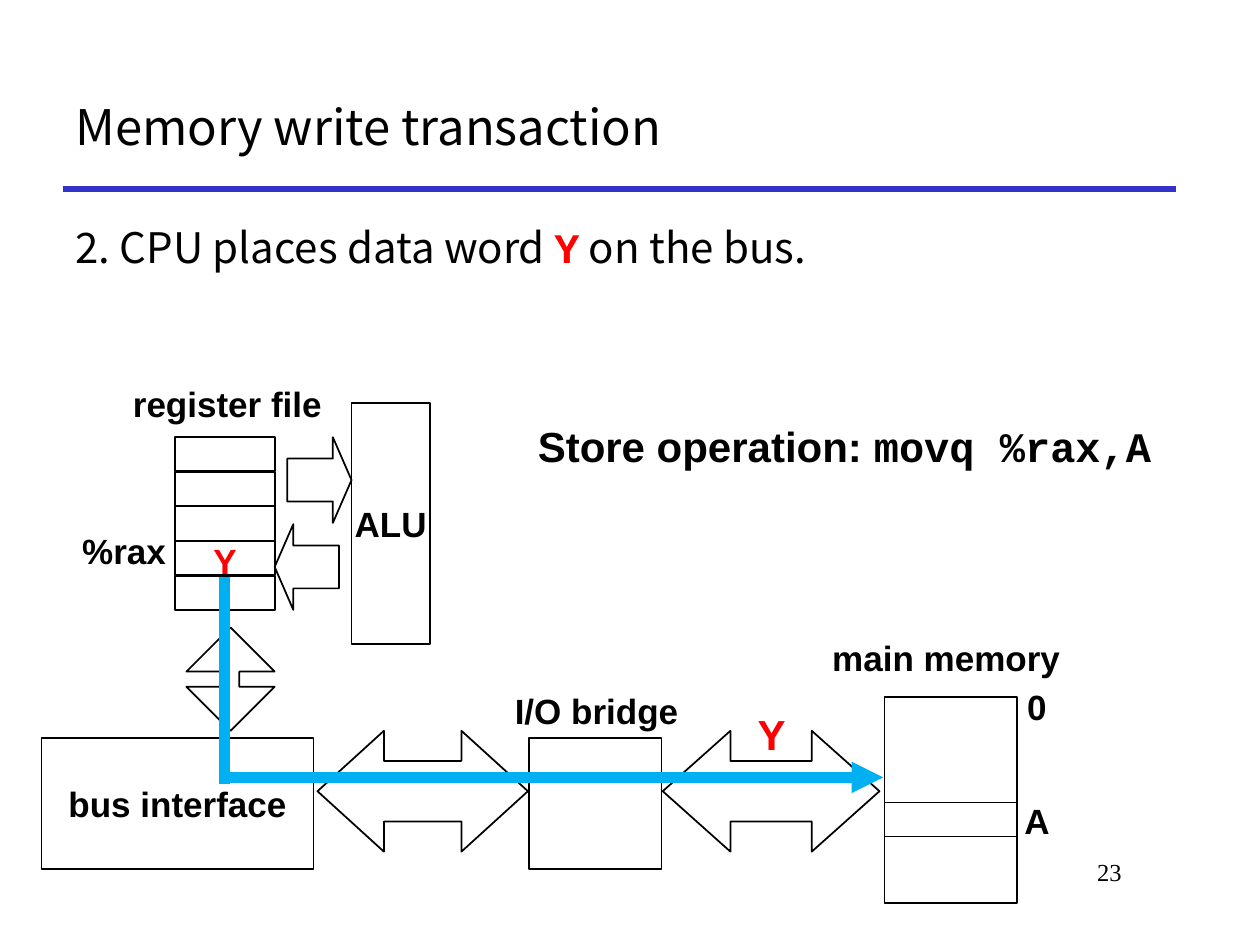
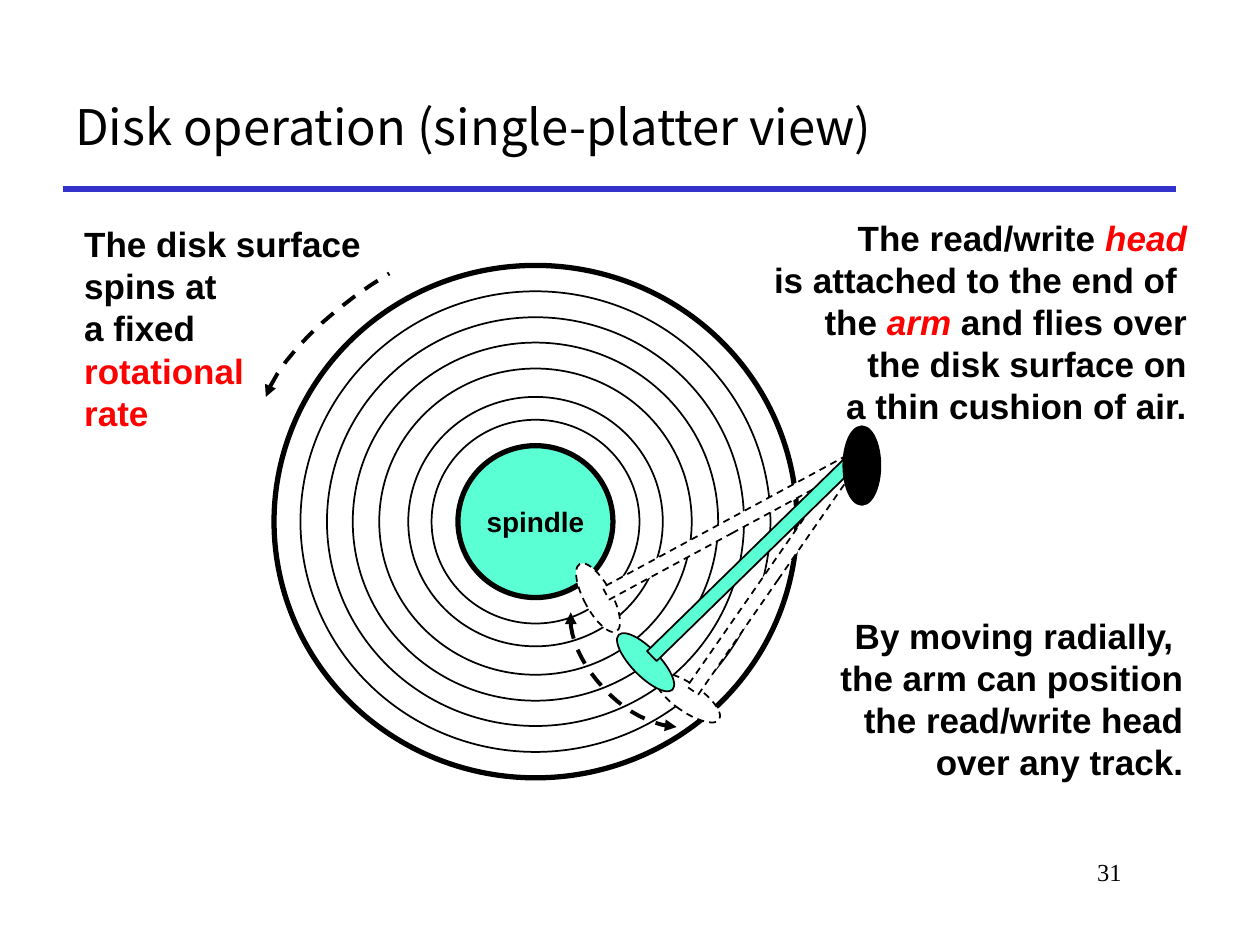
from math import cos, radians, sin

from lxml import etree
from pptx import Presentation
from pptx.dml.color import RGBColor
from pptx.enum.dml import MSO_LINE
from pptx.enum.shapes import MSO_CONNECTOR, MSO_SHAPE
from pptx.enum.text import MSO_ANCHOR, PP_ALIGN
from pptx.oxml.ns import qn
from pptx.util import Inches, Pt

RECTANGLE, ELLIPSE = MSO_SHAPE.RECTANGLE, MSO_SHAPE.OVAL
LEFT, CENTER, RIGHT = PP_ALIGN.LEFT, PP_ALIGN.CENTER, PP_ALIGN.RIGHT
TOP, MIDDLE = MSO_ANCHOR.TOP, MSO_ANCHOR.MIDDLE
DASH = MSO_LINE.DASH

BLACK, WHITE, RED = "000000", "FFFFFF", "FF0000"
RULE_BLUE, SIGNAL_BLUE, MINT = "3333CC", "00B0F0", "5BFFD4"
SANS, MONO, SERIF = "Arial", "Courier New", "Times New Roman"
HEADING = "Noto Sans CJK KR"


def rgb(value):
    return RGBColor.from_string(value)


def write(frame, paragraphs, align=LEFT, anchor=TOP, wrap=True, spacing=None, **style):
    """Fill a frame; a paragraph is a string or a list of strings and (text, style) pairs."""
    frame.word_wrap = wrap
    frame.vertical_anchor = anchor
    for index, runs in enumerate(paragraphs):
        paragraph = frame.paragraphs[0] if index == 0 else frame.add_paragraph()
        paragraph.alignment = align
        if spacing:
            paragraph.line_spacing = spacing
        for item in [runs] if isinstance(runs, str) else runs:
            text, change = (item, {}) if isinstance(item, str) else item
            add_runs(paragraph, text, **{**style, **change})


def add_runs(paragraph, text, size=20, font=SANS, color=BLACK, bold=True, italic=False):
    for index, line in enumerate(text.split("\n")):
        if index:
            paragraph.add_line_break()
        run = paragraph.add_run()
        run.text = line
        run.font.size = Pt(size)
        run.font.name = font
        run.font.bold = bold
        run.font.italic = italic
        run.font.color.rgb = rgb(color)


def add_text(slide, box, paragraphs, **style):
    text_box = slide.shapes.add_textbox(*map(Inches, box))
    write(text_box.text_frame, paragraphs, **style)


def add_label(slide, box, text, **style):
    add_text(slide, box, [text], align=CENTER, anchor=MIDDLE, wrap=False, **style)


def style_shape(shape, fill=None, width=1, dash=None):
    shape.shadow.inherit = False
    if fill:
        shape.fill.solid()
        shape.fill.fore_color.rgb = rgb(fill)
    else:
        shape.fill.background()
    shape.line.color.rgb = rgb(BLACK)
    shape.line.width = Pt(width)
    if dash:
        shape.line.dash_style = dash


def add_figure(slide, preset, box, text=None, size=20, adjust=(), rotation=0, **look):
    shape = slide.shapes.add_shape(preset, *map(Inches, box))
    style_shape(shape, **look)
    shape.rotation = rotation
    for index, value in enumerate(adjust):
        shape.adjustments[index] = value
    if text:
        write(shape.text_frame, [text], align=CENTER, anchor=MIDDLE, wrap=False, size=size)


def centered(x, y, width, height):
    return x - width / 2, y - height / 2, width, height


def add_arrowheads(line, *ends):
    """Add triangles; ends are given as headEnd and tailEnd, in that order."""
    outline = line.line._get_or_add_ln()
    for end in ends:
        etree.SubElement(outline, qn(f"a:{end}"), type="triangle")


def add_line(slide, start, end, color, width):
    line = slide.shapes.add_connector(MSO_CONNECTOR.STRAIGHT, *map(Inches, (*start, *end)))
    line.line.color.rgb = rgb(color)
    line.line.width = Pt(width)
    etree.SubElement(line._element.spPr, qn("a:effectLst"))
    return line


def bezier(a, b, c, d, steps=10):
    """Return points along a cubic curve, without its first point."""
    points = []
    for step in range(1, steps + 1):
        t = step / steps
        weights = ((1 - t) ** 3, 3 * t * (1 - t) ** 2, 3 * t * t * (1 - t), t ** 3)
        points.append(tuple(sum(w * p[axis] for w, p in zip(weights, (a, b, c, d)))
                            for axis in (0, 1)))
    return points


def add_curve(slide, x, y, controls, *ends):
    """Draw a dashed chain of cubic curves, its control points relative to (x, y)."""
    points = [controls[0]]
    for index in range(0, len(controls) - 1, 3):
        points += bezier(*controls[index:index + 4])
    points = [(Inches(x + dx), Inches(y + dy)) for dx, dy in points]
    builder = slide.shapes.build_freeform(*points[0])
    builder.add_line_segments(points[1:], close=False)
    curve = builder.convert_to_shape()
    style_shape(curve, width=2.25, dash=DASH)
    add_arrowheads(curve, *ends)


def add_slide(presentation, title, number):
    slide = presentation.slides.add_slide(presentation.slide_layouts[6])
    add_line(slide, (0.5, 1.5), (9.33, 1.5), RULE_BLUE, 3)
    add_text(slide, (7.58, 6.75, 1.42, 0.5), [str(number)], align=RIGHT,
             size=14, font=SERIF, bold=False)
    add_text(slide, (0.5, 0.5, 8.83, 1), [title], anchor=MIDDLE,
             size=28, font=HEADING, bold=False)
    return slide


def add_register_file(slide, left, top):
    cell_width, cell_height, pitch = 0.79, 0.27, 0.275
    for row in range(5):
        add_figure(slide, RECTANGLE, (left, top + row * pitch, cell_width, cell_height))
    add_label(slide, (left - 0.44, top - 0.49, 1.71, 0.44), "register file")
    add_label(slide, (left - 0.84, top + 0.68, 0.87, 0.44), "%rax")
    add_label(slide, (left + 0.2, top + 0.76, 0.39, 0.44), "Y", color=RED)


def add_alu(slide, left, top):
    """Draw the ALU and the two arrows that link it to the registers on its left."""
    add_figure(slide, RECTANGLE, (left, top, 0.62, 1.91), "ALU")
    for preset, dx, dy in ((MSO_SHAPE.RIGHT_ARROW, -0.51, 0.27),
                           (MSO_SHAPE.LEFT_ARROW, -0.61, 0.96)):
        add_figure(slide, preset, (left + dx, top + dy, 0.51, 0.68), adjust=(0.5, 0.29))


def add_bus(slide, left, top):
    """Draw the bus interface, the I/O bridge and the arrows around them."""
    arrow = MSO_SHAPE.LEFT_RIGHT_ARROW
    add_figure(slide, arrow, (left + 4.93, top - 0.06, 1.72, 0.96), adjust=(0.5, 0.56))
    add_figure(slide, arrow, (left + 2.19, top - 0.06, 1.67, 0.96), adjust=(0.5, 0.55))
    add_figure(slide, MSO_SHAPE.UP_DOWN_ARROW, (left + 1.15, top - 0.88, 0.7, 0.82),
               adjust=(0.5, 0.2))
    add_figure(slide, RECTANGLE, (left, top, 2.16, 1.04), "bus interface", fill=WHITE)
    add_figure(slide, RECTANGLE, (left + 3.87, top, 1.05, 1.04))
    add_label(slide, (left + 3.65, top - 0.44, 1.51, 0.44), "I/O bridge")


def add_main_memory(slide, left, top):
    width = 1.05
    add_figure(slide, RECTANGLE, (left, top, width, 1.64))
    add_figure(slide, RECTANGLE, (left, top + 0.84, width, 0.27))
    add_label(slide, (left - 0.52, top - 0.53, 2.02, 0.44), "main memory")
    add_label(slide, (left + 1.03, top - 0.14, 0.36, 0.44), "0")
    add_label(slide, (left + 1.01, top + 0.76, 0.4, 0.44), "A")


def add_data_route(slide, left, top):
    """Draw the way of word Y from its register to main memory."""
    bus_y = top + 1.59
    arrow = add_line(slide, (left, bus_y), (left + 5.23, bus_y), SIGNAL_BLUE, 6)
    add_arrowheads(arrow, "tailEnd")
    add_line(slide, (left, top), (left, bus_y + 0.05), SIGNAL_BLUE, 6)
    add_label(slide, (left + 4.13, top + 0.99, 0.43, 0.51), "Y", size=24, color=RED)


def build_memory_write(presentation):
    slide = add_slide(presentation, "Memory write transaction", 23)
    mono_y = ("Y", {"font": MONO, "color": RED, "bold": True})
    add_text(slide, (0.5, 1.75, 9.08, 0.58),
             [["2. CPU places data word ", mono_y, " on the bus."]],
             spacing=0.9, size=24, font=HEADING, bold=False)
    add_main_memory(slide, 7.02, 5.53)
    add_bus(slide, 0.33, 5.86)
    add_register_file(slide, 1.39, 3.47)
    add_alu(slide, 2.79, 3.2)
    add_text(slide, (4.17, 3.29, 5.3, 0.91),
             [["Store operation: ", ("movq %rax,A", {"font": MONO})]], wrap=False, size=24)
    add_data_route(slide, 1.78, 4.58)


def add_platter(slide, x, y):
    """Draw the tracks and the spindle around the centre (x, y)."""
    flattening = 0.98
    for diameter in (4.15, 3.73, 3.31, 2.9, 2.48, 2.02, 1.65):
        add_figure(slide, ELLIPSE, centered(x, y, diameter, diameter * flattening),
                   width=3 if diameter == 4.15 else 1)
    add_figure(slide, ELLIPSE, centered(x, y, 1.23, 1.23 * flattening), "spindle", size=16,
               fill=MINT, width=3)
    spin = [(-2.14, -0.99), (-2.04, -1.28), (-1.66, -1.67), (-1.16, -1.97)]
    seek = [(0.28, 0.72), (0.26, 0.9), (0.36, 1.13), (0.54, 1.32),
            (0.71, 1.51), (0.93, 1.62), (1.12, 1.63)]
    add_curve(slide, x, y, spin, "headEnd")
    add_curve(slide, x, y, seek, "headEnd", "tailEnd")


def add_arms(slide, x, y):
    """Draw three positions of arm and head, turning about the pivot (x, y)."""
    arm_length, head_reach = 2.23, 2.3
    for angle, fill, dash in ((28.4, WHITE, DASH), (55.2, WHITE, DASH), (44.3, MINT, None)):
        across, down = cos(radians(angle)), sin(radians(angle))
        for preset, reach, width, height in ((ELLIPSE, head_reach, 0.22, 0.61),
                                             (RECTANGLE, arm_length / 2, arm_length, 0.11)):
            box = centered(x - reach * across, y + reach * down, width, height)
            add_figure(slide, preset, box, rotation=-angle, fill=fill, dash=dash)
    add_figure(slide, ELLIPSE, (x - 0.07, y - 0.26, 0.28, 0.61), fill=BLACK, width=2)


def build_disk_operation(presentation):
    slide = add_slide(presentation, "Disk operation (single-platter view)", 31)
    term = {"color": RED, "italic": True}
    add_text(slide, (6.27, 4.83, 3.22, 1.44),
             ["By moving radially, \nthe arm can position the read/write head over any track."],
             align=RIGHT)
    add_platter(slide, 4.25, 4.14)
    add_text(slide, (0.57, 1.72, 2.51, 1.78),
             ["The disk surface", "spins at \na fixed",
              [("rotational \nrate", {"color": RED})]])
    add_text(slide, (6.02, 1.67, 3.5, 1.78),
             [["The read/write ", ("head", term)],
              ["is attached to the end of \nthe ", ("arm ", term), "and flies over"],
              "the disk surface on", "a thin cushion of air."],
             align=RIGHT, wrap=False)
    add_arms(slide, 6.77, 3.65)


def main():
    presentation = Presentation()
    presentation.slide_width, presentation.slide_height = Inches(10), Inches(7.5)
    build_memory_write(presentation)
    build_disk_operation(presentation)
    presentation.save("out.pptx")


if __name__ == "__main__":
    main()
